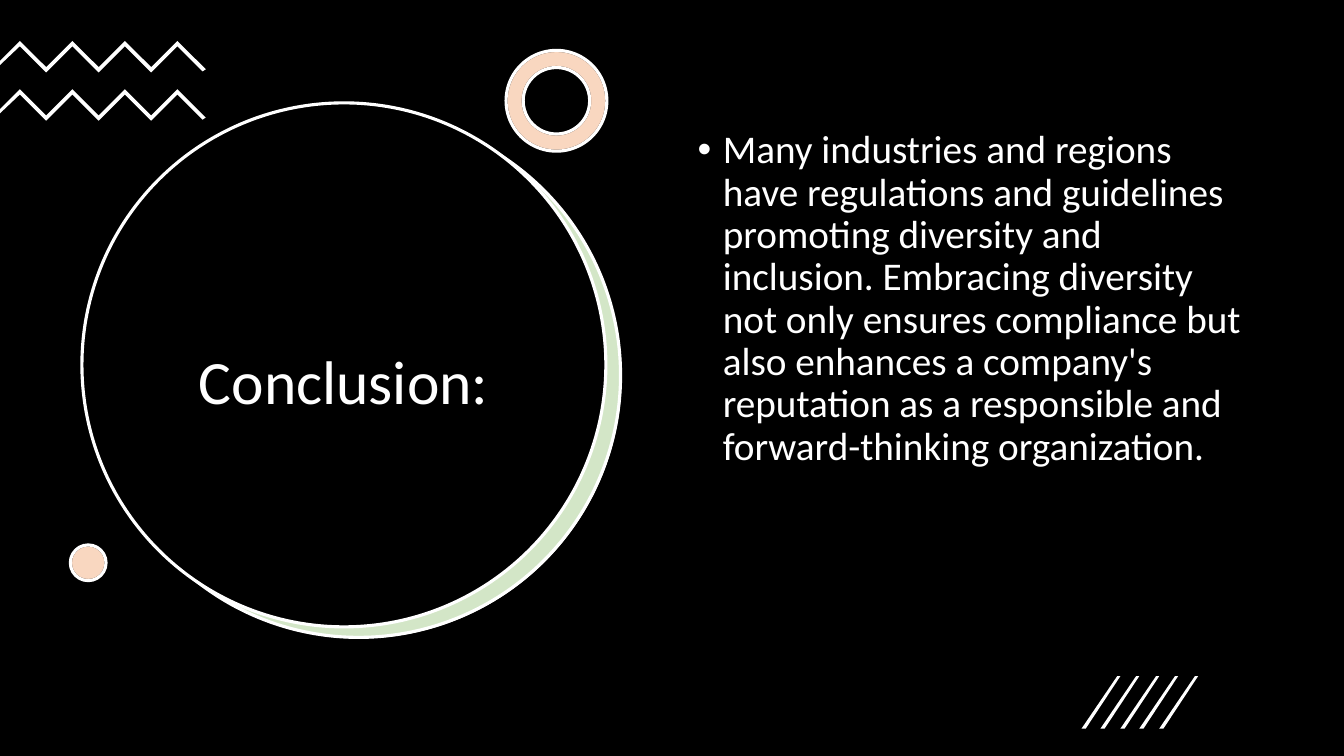
from dataclasses import dataclass
from typing import Optional

from lxml import etree
from pptx import Presentation
from pptx.dml.color import RGBColor
from pptx.enum.shapes import MSO_SHAPE
from pptx.enum.text import MSO_ANCHOR, PP_ALIGN
from pptx.oxml.ns import qn
from pptx.util import Pt

PX = 9525
WIDTH, HEIGHT = 1280, 720
FONT = "Calibri"
COLORS = {"black": "000000", "white": "FFFFFF", "green": "70AD47", "orange": "ED7D31"}
RECT, OVAL, DONUT = MSO_SHAPE.RECTANGLE, MSO_SHAPE.OVAL, MSO_SHAPE.DONUT
TOP, MIDDLE = MSO_ANCHOR.TOP, MSO_ANCHOR.MIDDLE
LEFT, CENTER = PP_ALIGN.LEFT, PP_ALIGN.CENTER


@dataclass(frozen=True)
class Figure:
    kind: MSO_SHAPE
    x: int
    y: int
    w: int
    h: int
    fill: str
    line: Optional[str] = None
    opacity: int = 100


BACKDROP_AND_DISC = [
    Figure(RECT, 0, 0, WIDTH, HEIGHT, "black"),
    Figure(OVAL, 93, 109, 499, 499, "white"),
    Figure(OVAL, 92, 108, 499, 499, "green", "white", 30),
    Figure(OVAL, 78, 98, 499, 499, "black", "white"),
]
ACCENTS = [
    Figure(kind, x, y, size, size, fill, line, opacity)
    for kind, x, y, size in [(DONUT, 482, 48, 96), (OVAL, 67, 519, 34)]
    for fill, line, opacity in [("white", "black", 100), ("orange", "white", 30)]
]

TITLE = "Conclusion:"
BODY = (
    "Many industries and regions have regulations and guidelines promoting "
    "diversity and inclusion. Embracing diversity not only ensures compliance "
    "but also enhances a company's reputation as a responsible and "
    "forward-thinking organization."
)

ZIGZAG_TOPS = [39, 85]
ZIGZAG_THICK = 5
ZIGZAG_BENDS = [(19 + 25 * i, 25 * (i % 2)) for i in range(7)]
ZIGZAG = (
    [(0, 19)]
    + ZIGZAG_BENDS
    + [(196, 27), (193, 29)]
    + [(x, y + ZIGZAG_THICK) for x, y in reversed(ZIGZAG_BENDS)]
    + [(0, 23)]
)
SLASH = [(4, 50), (0, 50), (34, 0), (37, 0)]
SLASH_LEFT, SLASH_TOP, SLASH_STEP, SLASH_COUNT = 1030, 644, 18.4, 5


def rgb(name: str) -> RGBColor:
    return RGBColor.from_string(COLORS[name])


def add_figure(shapes, fig: Figure) -> None:
    sp = shapes.add_shape(fig.kind, *(v * PX for v in (fig.x, fig.y, fig.w, fig.h)))
    sp.shadow.inherit = False
    sp.fill.solid()
    sp.fill.fore_color.rgb = rgb(fig.fill)
    if fig.opacity < 100:
        color = sp.fill._xPr.find(qn("a:solidFill"))[0]
        etree.SubElement(color, qn("a:alpha"), val=str(fig.opacity * 1000))
    if fig.kind == DONUT:
        sp.adjustments[0] = 0.17
    if fig.line:
        sp.line.color.rgb = rgb(fig.line)
        sp.line.width = Pt(2.25)
    else:
        sp.line.fill.background()


def add_outline(shapes, points: list, dx: int, dy: int) -> None:
    moved = [(x + dx, y + dy) for x, y in points]
    builder = shapes.build_freeform(*moved[0], scale=PX)
    builder.add_line_segments(moved[1:], close=True)
    sp = builder.convert_to_shape()
    sp.shadow.inherit = False
    sp.fill.solid()
    sp.fill.fore_color.rgb = rgb("white")
    sp.line.fill.background()


def add_text(shapes, text: str, box: tuple, *, size: int, align=LEFT,
             anchor=TOP, before: int = 0, bullet: bool = False) -> None:
    tf = shapes.add_textbox(*(v * PX for v in box)).text_frame
    tf.word_wrap = True
    tf.vertical_anchor = anchor
    p = tf.paragraphs[0]
    p.alignment = align
    p.line_spacing = 0.9
    p.space_before = Pt(before)
    if bullet:
        props = p._p.get_or_add_pPr()
        props.set("marL", str(24 * PX))
        props.set("indent", str(-24 * PX))
        etree.SubElement(props, qn("a:buFont"), typeface="Arial")
        etree.SubElement(props, qn("a:buChar"), char="•")
    r = p.add_run()
    r.text = text
    r.font.name = FONT
    r.font.size = Pt(size)
    r.font.color.rgb = rgb("white")


def main() -> None:
    prs = Presentation()
    prs.slide_width, prs.slide_height = WIDTH * PX, HEIGHT * PX
    shapes = prs.slides.add_slide(prs.slide_layouts[6]).shapes

    for fig in BACKDROP_AND_DISC:
        add_figure(shapes, fig)
    add_text(shapes, TITLE, (116, 197, 423, 338), size=44, align=CENTER, anchor=MIDDLE)

    zigzags = shapes.add_group_shape().shapes
    for top in ZIGZAG_TOPS:
        add_outline(zigzags, ZIGZAG, 0, top)

    for fig in ACCENTS:
        add_figure(shapes, fig)
    add_text(shapes, BODY, (655, 119, 548, 457), size=28, before=10, bullet=True)

    slashes = shapes.add_group_shape().shapes
    for i in range(SLASH_COUNT):
        add_outline(slashes, SLASH, round(SLASH_LEFT + SLASH_STEP * i), SLASH_TOP)

    prs.save("out.pptx")


if __name__ == "__main__":
    main()
